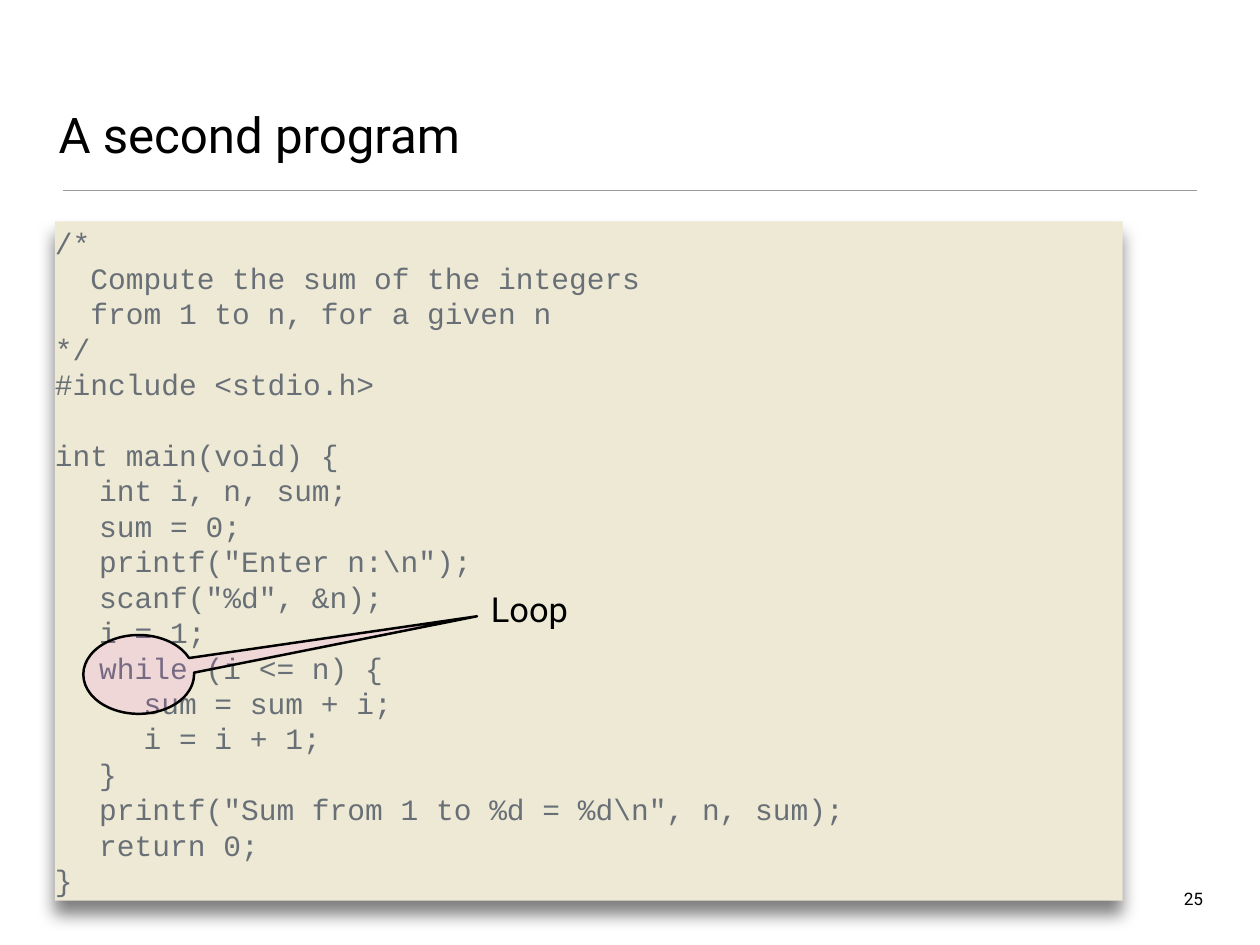
from lxml import etree
from pptx import Presentation
from pptx.dml.color import RGBColor
from pptx.enum.shapes import MSO_CONNECTOR, MSO_SHAPE
from pptx.enum.text import MSO_ANCHOR, PP_ALIGN
from pptx.oxml import parse_xml
from pptx.oxml.ns import nsdecls, qn
from pptx.util import Inches, Pt

# Content
TITLE = "A second program"
PAGE_NUMBER = "25"
CALLOUT_LABEL = "Loop"
COMMENT_AND_INCLUDE = [
    "/*",
    "  Compute the sum of the integers",
    "  from 1 to n, for a given n",
    "*/",
    "#include <stdio.h>",
]
MAIN_FUNCTION = [
    "int main(void) {",
    "\tint i, n, sum;",
    "\tsum = 0;",
    '\tprintf("Enter n:\\n");',
    '\tscanf("%d", &n);',
    "\ti = 1;",
    "\twhile (i <= n) {",
    "\t\tsum = sum + i;",
    "\t\ti = i + 1;",
    "\t}",
    '\tprintf("Sum from 1 to %d = %d\\n", n, sum);',
    "\treturn 0;",
    "}",
]

# Style
BLACK = RGBColor(0x00, 0x00, 0x00)
RULE_GRAY = RGBColor(0x9A, 0x9A, 0x9A)
PANEL_BEIGE = RGBColor(0xEE, 0xE9, 0xD4)
CODE_GRAY = RGBColor(0x68, 0x6F, 0x76)
CALLOUT_PINK = RGBColor(0xFF, 0x40, 0xFF)
TEXT_FONT, CODE_FONT = "Roboto", "Courier New"
CODE_LINE_HEIGHT = Pt(28.8)
TAB_WIDTH = Inches(0.5)


def box(left, top, width, height):
    return [Inches(value) for value in (left, top, width, height)]


def set_frame(shape, inset, anchor, wrap=True):
    frame = shape.text_frame
    frame.word_wrap = wrap
    frame.vertical_anchor = anchor
    frame.margin_left = frame.margin_right = Inches(inset)
    frame.margin_top = frame.margin_bottom = Inches(inset)
    return frame


def write(paragraph, text, size, font=TEXT_FONT, color=BLACK, align=PP_ALIGN.LEFT):
    paragraph.alignment = align
    run = paragraph.add_run()
    run.text = text
    run.font.size = Pt(size)
    run.font.name = font
    run.font.color.rgb = color


def add_tab_stops(paragraph, count=2):
    tab_list = etree.SubElement(paragraph._p.get_or_add_pPr(), qn("a:tabLst"))
    for level in range(1, count + 1):
        etree.SubElement(tab_list, qn("a:tab"), pos=str(level * TAB_WIDTH), algn="l")


presentation = Presentation()
presentation.slide_width = Inches(14.22)
presentation.slide_height = Inches(10.67)
slide = presentation.slides.add_slide(presentation.slide_layouts[5])
shapes = slide.shapes

# Title
title = shapes.title
title.left, title.top, title.width, title.height = box(0.62, 0.36, 12.97, 1.53)
frame = set_frame(title, 0.04, MSO_ANCHOR.BOTTOM)
write(frame.paragraphs[0], TITLE, 40)

# Rule under the title
rule = shapes.add_connector(MSO_CONNECTOR.STRAIGHT, *box(0.71, 2.15, 13.51, 2.15))
rule.line.color.rgb = RULE_GRAY
rule.line.width = Pt(1)
etree.SubElement(rule._element.spPr, qn("a:effectLst"))

# Page number
page_number = shapes.add_textbox(*box(13.31, 9.99, 0.31, 0.3))
frame = set_frame(page_number, 0.04, MSO_ANCHOR.TOP, wrap=False)
write(frame.paragraphs[0], PAGE_NUMBER, 14, align=PP_ALIGN.RIGHT)

# Code panel with a soft shadow below it
panel = shapes.add_shape(MSO_SHAPE.RECTANGLE, *box(0.62, 2.5, 12.05, 7.67))
panel.fill.solid()
panel.fill.fore_color.rgb = PANEL_BEIGE
panel.line.fill.background()
panel._element.spPr.append(parse_xml(
    f'<a:effectLst {nsdecls("a")}>'
    f'<a:outerShdw blurRad="{Pt(14)}" dist="{Pt(11)}" dir="5400000" rotWithShape="0">'
    '<a:srgbClr val="000000"><a:alpha val="50000"/></a:srgbClr>'
    '</a:outerShdw></a:effectLst>'))

frame = set_frame(panel, 0, MSO_ANCHOR.MIDDLE)
for index, line in enumerate(COMMENT_AND_INCLUDE + MAIN_FUNCTION):
    paragraph = frame.add_paragraph() if index else frame.paragraphs[0]
    paragraph.line_spacing = CODE_LINE_HEIGHT
    if index == len(COMMENT_AND_INCLUDE):
        paragraph.space_before = CODE_LINE_HEIGHT
    add_tab_stops(paragraph)
    write(paragraph, line, 24, CODE_FONT, CODE_GRAY)

# Callout on the while keyword, grouped with its label
callout_group = shapes.add_group_shape()
callout = callout_group.shapes.add_shape(
    MSO_SHAPE.OVAL_CALLOUT, *box(0.94, 7.17, 1.25, 0.89))
callout.shadow.inherit = False
callout.adjustments[0], callout.adjustments[1] = 3.055, -0.738
callout.fill.solid()
callout.fill.fore_color.rgb = CALLOUT_PINK
fill_color = callout._element.spPr.find(qn("a:solidFill")).find(qn("a:srgbClr"))
etree.SubElement(fill_color, qn("a:alpha"), val="10000")
callout.line.color.rgb = BLACK
callout.line.width = Pt(2)

label = callout_group.shapes.add_textbox(*box(5.48, 6.58, 3.98, 0.58))
frame = set_frame(label, 0.06, MSO_ANCHOR.MIDDLE)
write(frame.paragraphs[0], CALLOUT_LABEL, 28)

presentation.save("out.pptx")
